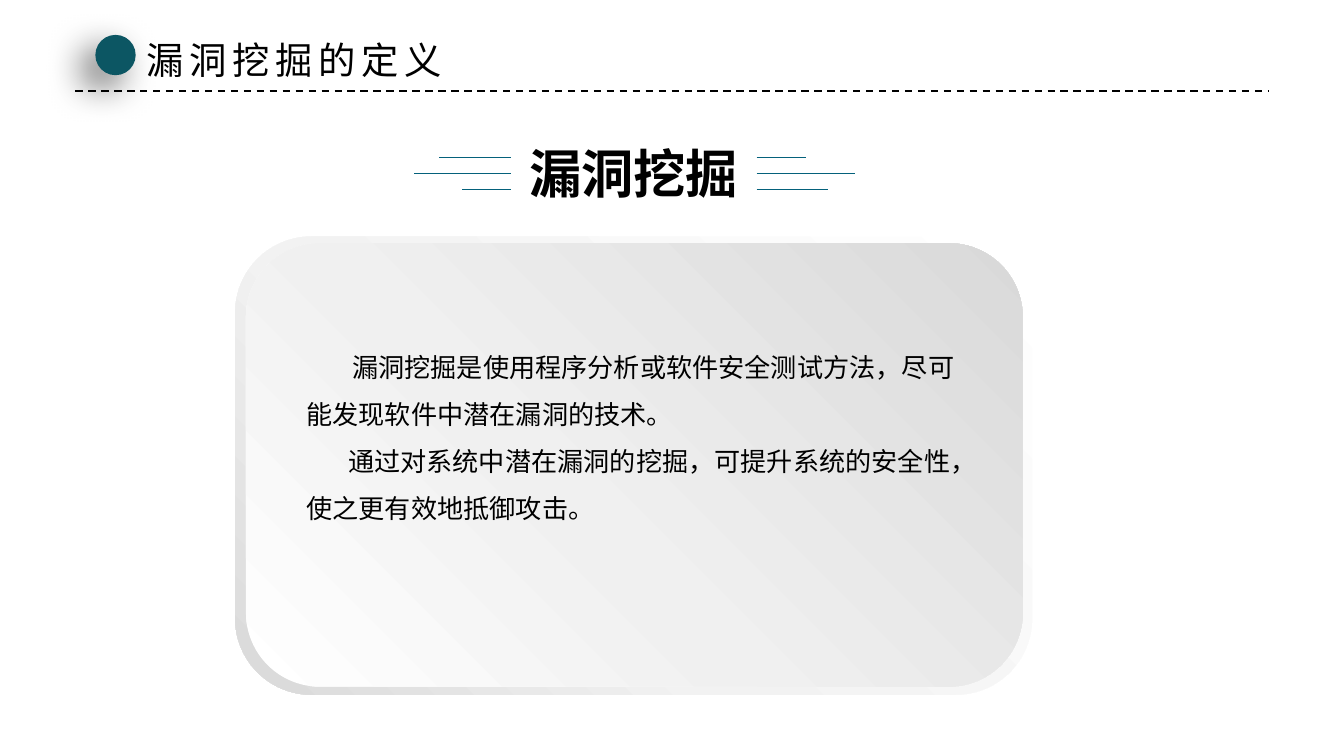
from dataclasses import dataclass

from lxml.etree import SubElement as Sub
from pptx import Presentation
from pptx.dml.color import RGBColor as Rgb
from pptx.enum.dml import MSO_LINE as Dash
from pptx.enum.shapes import MSO_CONNECTOR as Link, MSO_SHAPE as Kind
from pptx.enum.text import MSO_ANCHOR as Anchor, PP_ALIGN as Align
from pptx.oxml.ns import qn
from pptx.util import Inches, Pt

WIDE = Inches(10)
HIGH = WIDE * 9 // 16
CELL = WIDE // 1000


@dataclass(frozen=True)
class Theme:
    font: str = "Noto Sans CJK SC"
    ink: str = "000000"
    dot: str = "0C5663"
    ray: str = "04617B"
    rim: tuple = ((0, "FFFFFF"), (62, "F2F2F2"), (100, "D9D9D9"))
    face: tuple = ((0, "FFFFFF"), (42, "F0F0F0"), (100, "D9D9D9"))
    title: int = 20
    banner: int = 28
    body: int = 14


THEME = Theme()


def place(box, x, y, w=0, h=0):
    """Turn cells counted from the box corner into lengths on the slide."""
    return [CELL * n for n in (box[0] + x, box[1] + y, w, h)]


def add_line(slide, box, start, end, color, width, dash=None):
    ends = place(box, *start)[:2] + place(box, *end)[:2]
    link = slide.shapes.add_connector(Link.STRAIGHT, *ends)
    link.line.color.rgb = Rgb.from_string(color)
    link.line.width = Pt(width)
    if dash:
        link.line.dash_style = dash
    Sub(link._element.spPr, qn("a:effectLst"))


def add_form(slide, kind, area):
    form = slide.shapes.add_shape(kind, *area)
    form.shadow.inherit = False
    form.line.fill.background()
    return form


def add_shade(form, stops, angle):
    form.fill.gradient()
    form.fill.gradient_angle = angle
    ramp = form._element.spPr.find(".//" + qn("a:gsLst"))
    for old in list(ramp):
        ramp.remove(old)
    for spot, color in stops:
        stop = Sub(ramp, qn("a:gs"), pos=str(spot * 1000))
        Sub(stop, qn("a:srgbClr"), val=color)


def add_text(slide, area, lines, size, frame=None, para=None, bold=False, gap=0):
    """Write (text, first-line indent in cells) pairs, one a paragraph."""
    text = slide.shapes.add_textbox(*area).text_frame
    for key, value in {"word_wrap": True, **(frame or {})}.items():
        setattr(text, key, value)
    for i, (words, indent) in enumerate(lines):
        part = text.paragraphs[0] if i == 0 else text.add_paragraph()
        for key, value in (para or {}).items():
            setattr(part, key, value)
        if indent:
            part._p.get_or_add_pPr().set("indent", str(CELL * indent))
        run = part.add_run()
        run.text = words
        look = {"name": THEME.font, "size": Pt(size), "bold": bold}
        for key, value in look.items():
            setattr(run.font, key, value)
        run.font.color.rgb = Rgb.from_string(THEME.ink)
        props = run._r.get_or_add_rPr()
        Sub(props, qn("a:ea"), typeface=THEME.font)
        if gap:
            props.set("spc", str(gap * 100))


FLUSH = {"margin_" + side: 0 for side in ("left", "top", "right", "bottom")}


def add_head(slide, box, title):
    add_line(slide, box, (0, box[3]), (box[2], box[3]), THEME.ink, 1, Dash.DASH)
    dot = add_form(slide, Kind.OVAL, place(box, 15, 3, 30, 30))
    dot.fill.solid()
    dot.fill.fore_color.rgb = Rgb.from_string(THEME.dot)
    glow = Sub(dot._element.spPr.find(qn("a:effectLst")), qn("a:outerShdw"),
               blurRad=str(Pt(20)), dist=str(Pt(10)), dir=str(135 * 60000),
               algn="tr", rotWithShape="0")
    tint = Sub(glow, qn("a:srgbClr"), val=THEME.ink)
    Sub(tint, qn("a:alpha"), val="60000")
    add_text(slide, place(box, 43, 0, 246, 44), [(title, 0)], THEME.title,
             {"word_wrap": False}, gap=3)


def add_banner(slide, box, words):
    """Centre the words between two fans of three thin lines."""
    add_text(slide, place(box, 37, 0, 253, 47), [(words, 0)], THEME.banner,
             FLUSH, {"alignment": Align.CENTER}, bold=True)
    for edge, spans in ((72, (-53, -72, -36)), (255, (37, 73, 53))):
        for i, span in enumerate(spans):
            y = 12 * (i + 1)
            add_line(slide, box, (edge, y), (edge + span, y), THEME.ray, 0.5)


def add_card(slide, box, lines):
    rim = add_form(slide, Kind.ROUNDED_RECTANGLE, place(box, 0, 0, *box[2:]))
    add_shade(rim, THEME.rim, 225)
    face = add_form(slide, Kind.ROUNDED_RECTANGLE, place(box, 8, 5, 578, 330))
    add_shade(face, THEME.face, 45)
    add_text(slide, place(box, 53, 74, 488, 182), lines, THEME.body,
             {**FLUSH, "vertical_anchor": Anchor.TOP}, {"line_spacing": 1.5})


def main():
    deck = Presentation()
    deck.slide_width, deck.slide_height = WIDE, HIGH
    slide = deck.slides.add_slide(deck.slide_layouts[6])
    add_banner(slide, (308, 105, 328, 47), "漏洞挖掘")
    add_head(slide, (56, 23, 888, 45), "漏洞挖掘的定义")
    add_card(slide, (175, 176, 593, 341), [
        ("漏洞挖掘是使用程序分析或软件安全测试方法，尽可能发现软件中潜在漏洞的技术。", 34),
        ("通过对系统中潜在漏洞的挖掘，可提升系统的安全性，使之更有效地抵御攻击。", 31),
    ])
    deck.save("out.pptx")


if __name__ == "__main__":
    main()
